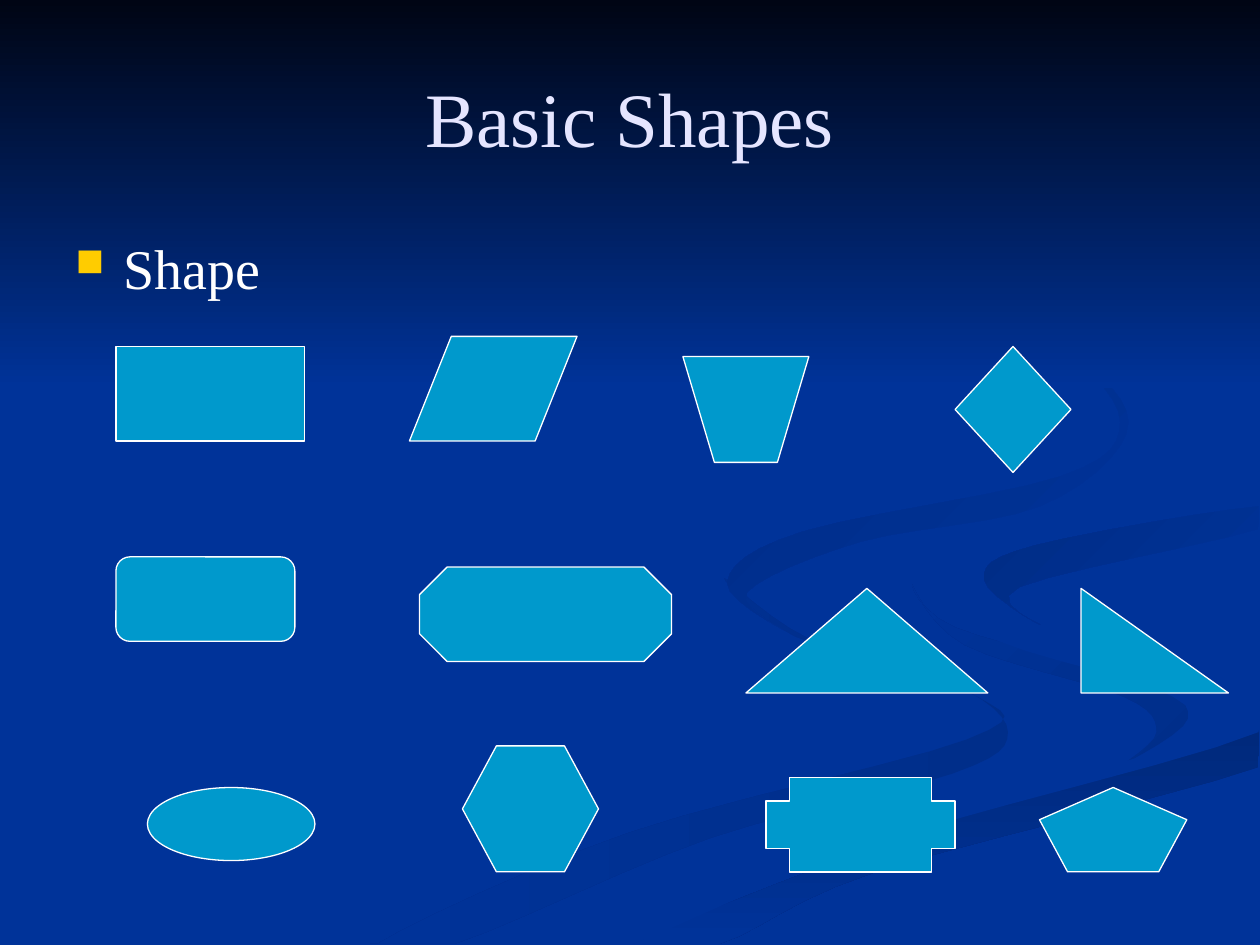
import lxml.etree
import pptx
import pptx.dml.color
import pptx.enum.shapes
import pptx.enum.text
import pptx.oxml.ns
import pptx.util

Inches = pptx.util.Inches
Kind = pptx.enum.shapes.MSO_SHAPE
Color = pptx.dml.color.RGBColor.from_string
theme = {
    "font": "Times New Roman", "title_size": 44, "body_size": 32,
    "night": "000514", "blue": "003399", "title": "E5E5FF", "white": "FFFFFF",
    "bullet": "FFCC00", "shape": "0099CC", "outline": 0.75,
    "ribbon": "002E8A", "deep": "00297C", "curl": "002C85",
}


def paint(shape, colors, angle=0, outline=False):
    shape.shadow.inherit = False
    if len(colors) == 1:
        shape.fill.solid()
        shape.fill.fore_color.rgb = Color(colors[0])
    else:
        shape.fill.gradient()
        shape.fill.gradient_angle = (360 - angle) % 360
        for stop, color, position in zip(shape.fill.gradient_stops, colors, (0, 1)):
            stop.color.rgb = Color(color)
            stop.position = position
    if outline:
        shape.line.color.rgb = Color(theme["white"])
        shape.line.width = pptx.util.Pt(theme["outline"])
    else:
        shape.line.fill.background()


def draw_outline(page, points, steps=1):
    corners = []
    for index, start in enumerate(points):
        before = points[index - 1]
        end, after = (points[(index + ahead) % len(points)] for ahead in (1, 2))
        for step in range(steps):
            t = step / steps
            spot = [
                b + t * (c - a) / 2 + t**2 * (2 * a - 5 * b + 4 * c - d) / 2
                + t**3 * (3 * b - a - 3 * c + d) / 2
                for a, b, c, d in zip(before, start, end, after)
            ]
            corners.append((Inches(min(spot[0], 9.99)), Inches(min(spot[1], 7.49))))
    builder = page.shapes.build_freeform(*corners[0], scale=1.0)
    builder.add_line_segments(corners[1:], close=True)
    return builder.convert_to_shape()


deck = pptx.Presentation()
deck.slide_width, deck.slide_height = Inches(10), Inches(7.5)
page = deck.slides.add_slide(deck.slide_layouts[6])
page.background.fill.solid()
page.background.fill.fore_color.rgb = Color(theme["blue"])

ribbons = [
    ((theme["ribbon"], theme["blue"]), 180, [
        (5.75, 4.59), (6.42, 5.07), (7.57, 5.43), (8, 5.81), (7.56, 6.14), (5.64, 6.65),
        (3.61, 7.49), (3, 7.49), (4.99, 6.61), (7.67, 5.87), (7.76, 5.53), (6.31, 5.05)]),
    ((theme["ribbon"], theme["blue"]), 225, [
        (7.24, 4.64), (7.58, 4.98), (9.05, 5.4), (9.43, 5.7), (8.94, 6.05),
        (9.18, 5.81), (8.92, 5.53), (7.66, 5.12)]),
    ((theme["deep"], theme["blue"]), 90, [
        (5.03, 7.49), (5.71, 7.49), (6.95, 6.92), (9.98, 6.09), (9.98, 5.81), (7.64, 6.47)]),
    ((theme["blue"],), 0, [
        (7.25, 4.64), (7.93, 5.09), (9.31, 5.53), (9.26, 5.93), (7.04, 6.55), (4.77, 7.49),
        (5.03, 7.49), (6.96, 6.69), (9.99, 5.81), (9.99, 5.38), (8.32, 4.98), (7.92, 4.47),
        (9.99, 4.02), (9.99, 3.87), (7.7, 4.27)]),
    ((theme["blue"], theme["curl"]), 225, [
        (7.81, 4.6), (8.26, 4.96), (8.09, 4.66), (9.98, 4.2), (9.98, 4.02), (8.21, 4.33)]),
    ((theme["blue"], theme["curl"]), 225, [
        (7.62, 2.33), (8.64, 2.91), (8.94, 3.44), (8.25, 4.02), (6.83, 4.3), (5.93, 4.7),
        (6.22, 5), (5.77, 4.62), (6.37, 4.22), (8.42, 3.78), (8.89, 3.35), (8.46, 2.79)]),
]
for colors, angle, points in ribbons:
    paint(draw_outline(page, points, steps=6), colors, angle)

sky = page.shapes.add_shape(Kind.RECTANGLE, 0, 0, deck.slide_width, Inches(3.08))
paint(sky, (theme["night"], theme["blue"]), 90)

texts = [
    ("Basic Shapes", 0.3, 1.25, theme["title_size"], theme["title"],
     {"vertical_anchor": pptx.enum.text.MSO_ANCHOR.MIDDLE}, pptx.enum.text.PP_ALIGN.CENTER),
    ("Shape", 1.75, 4.95, theme["body_size"], theme["white"],
     {"margin_top": Inches(0.1)}, pptx.enum.text.PP_ALIGN.LEFT),
]
for words, top, height, size, color, frame_format, alignment in texts:
    box = page.shapes.add_textbox(Inches(0.5), Inches(top), Inches(9), Inches(height))
    for name, value in {"word_wrap": True, **frame_format}.items():
        setattr(box.text_frame, name, value)
    para = box.text_frame.paragraphs[0]
    para.alignment = alignment
    span = para.add_run()
    span.text = words
    for name, value in {"name": theme["font"], "size": pptx.util.Pt(size)}.items():
        setattr(span.font, name, value)
    span.font.color.rgb = Color(color)

properties = para._p.get_or_add_pPr()
properties.set("marL", str(Inches(0.38)))
properties.set("indent", str(Inches(-0.38)))
qualify = pptx.oxml.ns.qn
bullet_color = lxml.etree.SubElement(properties, qualify("a:buClr"))
lxml.etree.SubElement(bullet_color, qualify("a:srgbClr"), val=theme["bullet"])
lxml.etree.SubElement(properties, qualify("a:buSzPct"), val="70000")
lxml.etree.SubElement(properties, qualify("a:buChar"), char="■")

samples = [
    (Kind.RECTANGLE, 0.92, 2.75, 1.5, 0.75, []),
    (Kind.PARALLELOGRAM, 3.25, 2.67, 1.33, 0.83, [0.4]),
    (Kind.DIAMOND, 7.58, 2.75, 0.92, 1, []),
    (Kind.ROUNDED_RECTANGLE, 0.92, 4.42, 1.42, 0.67, []),
    (Kind.OCTAGON, 3.33, 4.5, 2, 0.75, []),
    (Kind.ISOSCELES_TRIANGLE, 5.92, 4.67, 1.92, 0.83, []),
    (Kind.RIGHT_TRIANGLE, 8.58, 4.67, 1.17, 0.83, []),
    (Kind.OVAL, 1.17, 6.25, 1.33, 0.58, []),
    (Kind.HEXAGON, 3.67, 5.92, 1.08, 1, [0.27]),
    (Kind.CROSS, 6.08, 6.17, 1.5, 0.75, []),
    (Kind.REGULAR_PENTAGON, 8.25, 6.25, 1.17, 0.67, []),
]
for kind, left, top, width, height, adjustments in samples:
    shape = page.shapes.add_shape(kind, *map(Inches, (left, top, width, height)))
    for index, value in enumerate(adjustments):
        shape.adjustments[index] = value
    paint(shape, (theme["shape"],), outline=True)

trapezoid = draw_outline(page, [(5.42, 2.83), (6.42, 2.83), (6.17, 3.67), (5.67, 3.67)])
paint(trapezoid, (theme["shape"],), outline=True)

deck.save("out.pptx")
